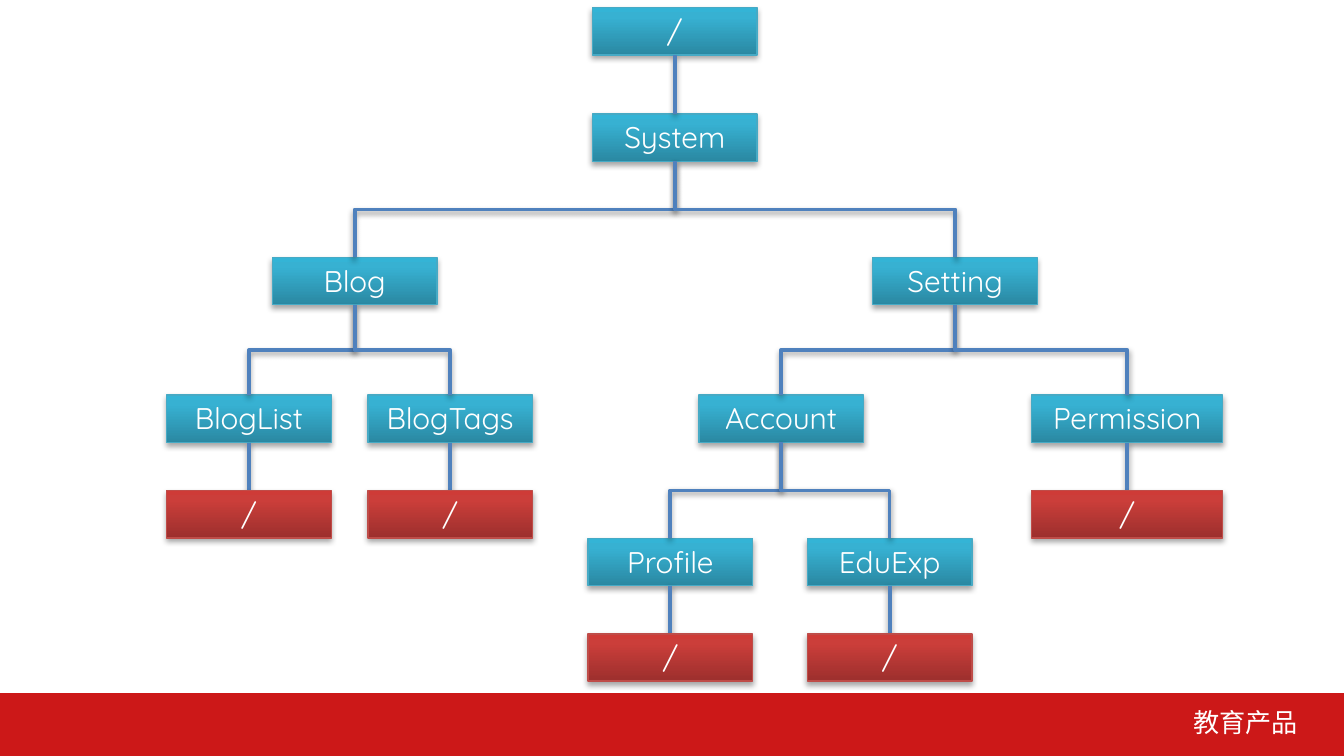
import dataclasses
from typing import Optional

import lxml.etree
import pptx
import pptx.dml.color
import pptx.enum.shapes
import pptx.enum.text
import pptx.oxml
import pptx.oxml.ns
import pptx.util

Pt = pptx.util.Pt
RGB = pptx.dml.color.RGBColor

WHITE = RGB(0xFF, 0xFF, 0xFF)
BAND_RED = RGB(0xCC, 0x18, 0x18)
LINK_BLUE = RGB(0x4F, 0x81, 0xBD)
BLUE_EDGE = RGB(0x46, 0xAA, 0xC5)
BLUE_STOPS = RGB(0x2A, 0x88, 0xA2), RGB(0x37, 0xB1, 0xD2), RGB(0x34, 0xB4, 0xD6)
RED_EDGE = RGB(0xBF, 0x4C, 0x48)
RED_STOPS = RGB(0x9C, 0x2F, 0x2D), RGB(0xCB, 0x3E, 0x3A), RGB(0xCE, 0x3B, 0x37)

BOX_H = 25.4
LEAF_DROP = 51.2
ROWS = (4.1, 61.1, 137.9, 211.7, 288.4)


@dataclasses.dataclass(frozen=True)
class Skin:
    edge: RGB
    stops: tuple[RGB, RGB, RGB]


@dataclasses.dataclass(frozen=True)
class Node:
    text: str
    x: float
    y: float
    parent: Optional["Node"] = None
    w: float = 88.2
    skin: Skin = Skin(BLUE_EDGE, BLUE_STOPS)


def leaf_of(node: Node) -> Node:
    return Node("/", node.x, node.y + LEAF_DROP, node, node.w, Skin(RED_EDGE, RED_STOPS))


ROOT = Node("/", 361.5, ROWS[0])
SYSTEM = Node("System", 361.5, ROWS[1], ROOT)
BLOG = Node("Blog", 190, ROWS[2], SYSTEM)
SETTING = Node("Setting", 511.7, ROWS[2], SYSTEM)
ACCOUNT = Node("Account", 418.5, ROWS[3], SETTING)
PAGES = [
    Node("BlogList", 133.4, ROWS[3], BLOG),
    Node("BlogTags", 241.2, ROWS[3], BLOG),
    Node("Permission", 603.9, ROWS[3], SETTING, 102.4),
    Node("Profile", 359.1, ROWS[4], ACCOUNT),
    Node("EduExp", 476.6, ROWS[4], ACCOUNT),
]
BRANCHES = [ROOT, SYSTEM, BLOG, SETTING, ACCOUNT, *PAGES]
LEAVES = [leaf_of(page) for page in PAGES]


def add_shadow(sp, distance: float, alpha: int) -> None:
    sp._element.spPr.append(pptx.oxml.parse_xml(
        f'<a:effectLst {pptx.oxml.ns.nsdecls("a")}>'
        f'<a:outerShdw blurRad="{Pt(3.15)}" dist="{Pt(distance)}" dir="5400000" rotWithShape="0">'
        f'<a:srgbClr val="000000"><a:alpha val="{alpha * 1000}"/></a:srgbClr>'
        '</a:outerShdw></a:effectLst>'))


def add_gradient(sp, stops: tuple[RGB, RGB, RGB]) -> None:
    marks = "".join(
        f'<a:gs pos="{pos}000"><a:srgbClr val="{color}"/></a:gs>'
        for pos, color in zip((0, 80, 100), stops))
    sp._element.spPr.append(pptx.oxml.parse_xml(
        f'<a:gradFill {pptx.oxml.ns.nsdecls("a")} rotWithShape="1"><a:gsLst>{marks}</a:gsLst>'
        '<a:lin ang="16200000" scaled="0"/></a:gradFill>'))


def write(sp, text: str, font: str, size: float, align) -> None:
    p = sp.text_frame.paragraphs[0]
    p.text = text
    p.alignment = align
    r = p.runs[0]
    r.font.name = font
    r.font.size = Pt(size)
    r.font.color.rgb = WHITE
    ea = lxml.etree.SubElement(r.font._element, pptx.oxml.ns.qn("a:ea"))
    ea.set("typeface", font)


def add_box(s, node: Node) -> None:
    sp = s.shapes.add_shape(
        pptx.enum.shapes.MSO_SHAPE.RECTANGLE,
        Pt(node.x - node.w / 2), Pt(node.y), Pt(node.w), Pt(BOX_H))
    add_gradient(sp, node.skin.stops)
    sp.line.color.rgb = node.skin.edge
    sp.line.width = Pt(0.75)
    add_shadow(sp, 1.8, 35)
    sp.text_frame.vertical_anchor = pptx.enum.text.MSO_ANCHOR.BOTTOM
    write(sp, node.text, "Quicksand", 16, pptx.enum.text.PP_ALIGN.CENTER)


def add_link(s, node: Node) -> None:
    kinds = pptx.enum.shapes.MSO_CONNECTOR
    x1, y1 = node.parent.x, node.parent.y + BOX_H
    x2, y2 = node.x, node.y
    if x1 == x2:
        sp = s.shapes.add_connector(kinds.STRAIGHT, Pt(x1), Pt(y1), Pt(x2), Pt(y2))
    else:
        mid_x, mid_y = (x1 + x2) / 2, (y1 + y2) / 2
        half_w, half_h = (y2 - y1) / 2, abs(x2 - x1) / 2
        side = 1 if x2 > x1 else -1
        sp = s.shapes.add_connector(
            kinds.ELBOW,
            Pt(mid_x + side * half_w), Pt(mid_y - half_h),
            Pt(mid_x - side * half_w), Pt(mid_y + half_h))
        sp.rotation = 270 if side > 0 else 90
    sp.line.color.rgb = LINK_BLUE
    sp.line.width = Pt(2)
    add_shadow(sp, 1.6, 38)


def add_footer(s) -> None:
    band = s.shapes.add_shape(
        pptx.enum.shapes.MSO_SHAPE.RECTANGLE, Pt(0), Pt(371.4), Pt(720), Pt(33.6))
    band.shadow.inherit = False
    band.fill.solid()
    band.fill.fore_color.rgb = BAND_RED
    band.line.fill.background()
    label = s.shapes.add_textbox(Pt(262.8), Pt(375.1), Pt(439.6), Pt(21.6))
    label.text_frame.word_wrap = True
    write(label, "教育产品", "Noto Sans CJK SC", 14, pptx.enum.text.PP_ALIGN.RIGHT)


def main() -> None:
    prs = pptx.Presentation()
    prs.slide_width, prs.slide_height = Pt(720), Pt(405)
    s = prs.slides.add_slide(prs.slide_layouts[6])
    add_footer(s)
    for node in BRANCHES:
        add_box(s, node)
    for node in BRANCHES[1:] + LEAVES:
        add_link(s, node)
    for node in LEAVES:
        add_box(s, node)
    prs.save("out.pptx")


if __name__ == "__main__":
    main()
